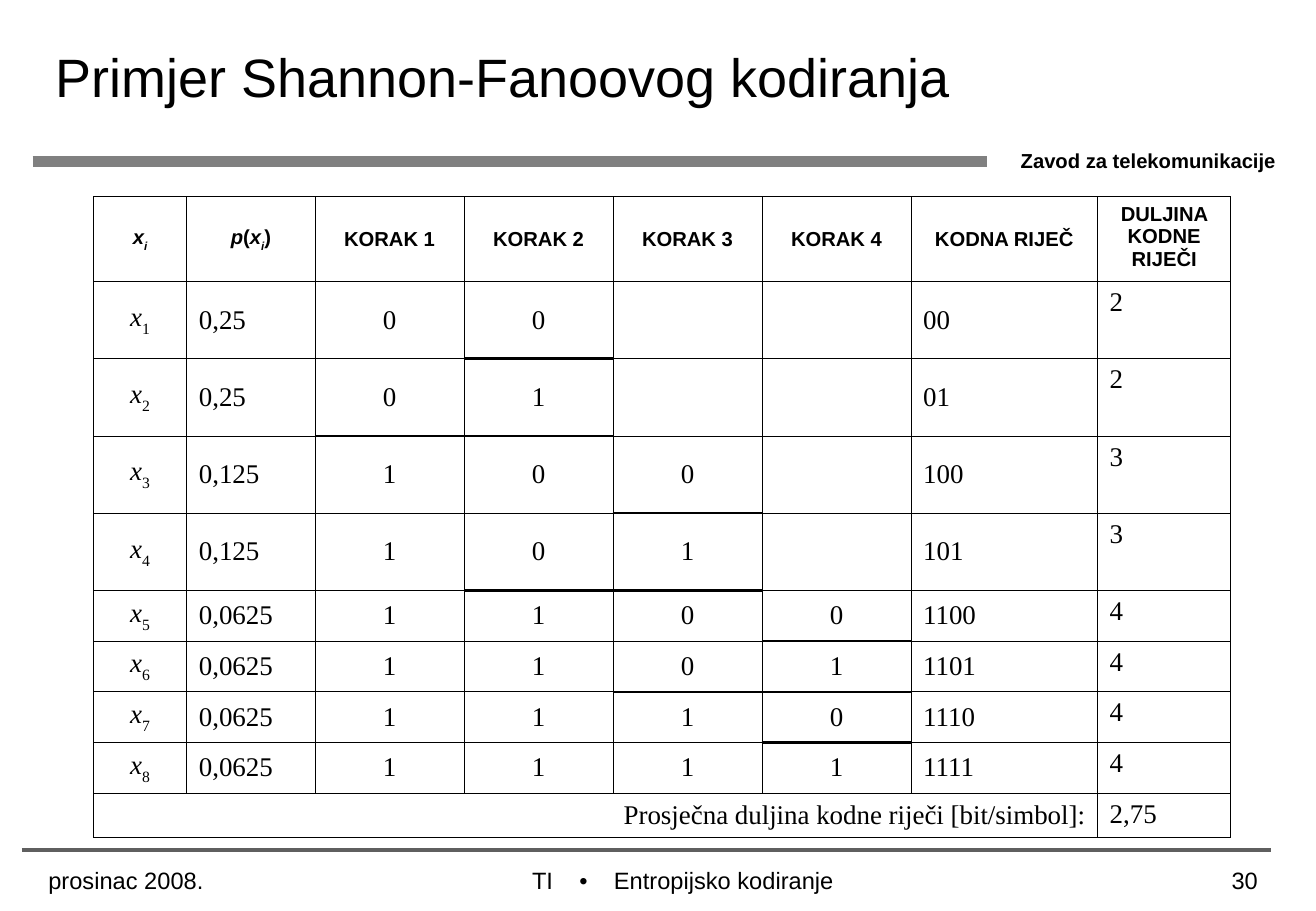
from dataclasses import dataclass
from typing import NamedTuple

from lxml import etree
from pptx import Presentation, util as u
from pptx.dml.color import RGBColor
from pptx.enum import shapes, text
from pptx.oxml import ns

# The slide is a fine grid of 1084 columns by 750 rows
COLUMNS, ROWS = 1084, 750
UNIT = u.Inches(0.01)


@dataclass(frozen=True)
class Theme:
    sans: str = "Arial"
    serif: str = "Times New Roman"
    ink: str = "000000"
    header_rule: str = "808080"
    footer_rule: str = "5F5F5F"
    title_size: int = 32
    label_size: int = 12
    body_size: int = 16
    footer_size: int = 14
    thin: float = 0.45
    thick: float = 1.47


class Area(NamedTuple):
    left: int
    top: int
    width: int
    height: int


class Run(NamedTuple):
    text: str
    italic: bool = False
    subscript: bool = False
    tracking: int = 0


class Rule(NamedTuple):
    start: int
    end: int
    row: int
    color: str
    width: float


class Label(NamedTuple):
    area: Area
    runs: list[Run]
    size: int
    align: text.PP_ALIGN
    bold: bool = False


THEME = Theme()
LEFT, CENTER, RIGHT = text.PP_ALIGN.LEFT, text.PP_ALIGN.CENTER, text.PP_ALIGN.RIGHT
TOP, MIDDLE = text.MSO_ANCHOR.TOP, text.MSO_ANCHOR.MIDDLE

TITLE_AREA = Area(36, 0, 921, 125)
TABLE_AREA = Area(77, 162, 937, 528)
COLUMN_SHARES = [77, 106, 123, 123, 123, 123, 154, 110]
ROW_SHARES = [70] + [64] * 4 + [42] * 4 + [37]
STEPS = 4
FIRST_STEP = 2
CODES = ["00", "01", "100", "101", "1100", "1101", "1110", "1111"]

RULES = [
    Rule(27, 813, 133, THEME.header_rule, 6),
    Rule(18, 1047, 700, THEME.footer_rule, 2.25),
]
WIDE_GAP = Run(" ", tracking=1170)
LABELS = [
    Label(Area(831, 117, 253, 30), [Run("Zavod za telekomunikacije")],
          THEME.label_size, LEFT, bold=True),
    Label(Area(250, 708, 625, 25),
          [Run("TI"), WIDE_GAP, Run("•"), WIDE_GAP, Run("Entropijsko kodiranje")],
          THEME.footer_size, CENTER),
    Label(Area(909, 708, 137, 42), [Run("30")], THEME.footer_size, RIGHT),
    Label(Area(30, 708, 195, 42), [Run("prosinac 2008.")], THEME.footer_size, LEFT),
]


def place(area: Area) -> list[int]:
    return [length * UNIT for length in area]


def write(frame, runs: list[Run], *, size: int, font: str = THEME.sans,
          align: text.PP_ALIGN = LEFT, bold: bool = False) -> None:
    paragraph = frame.paragraphs[0]
    paragraph.alignment = align
    for piece in runs:
        run = paragraph.add_run()
        run.text = piece.text
        run.font.name = font
        run.font.size = u.Pt(size)
        run.font.bold = bold
        run.font.italic = piece.italic
        run.font.color.rgb = RGBColor.from_string(THEME.ink)
        properties = run.font._element
        if piece.subscript:
            properties.set("baseline", "-30000")
        if piece.tracking:
            properties.set("spc", str(piece.tracking))


def add_rule(slide, rule: Rule) -> None:
    line = slide.shapes.add_connector(
        shapes.MSO_CONNECTOR.STRAIGHT, rule.start * UNIT, rule.row * UNIT,
        rule.end * UNIT, rule.row * UNIT)
    line.line.color.rgb = RGBColor.from_string(rule.color)
    line.line.width = u.Pt(rule.width)
    etree.SubElement(line._element.spPr, ns.qn("a:effectLst"))


def add_label(slide, label: Label) -> None:
    frame = slide.shapes.add_textbox(*place(label.area)).text_frame
    frame.word_wrap = True
    write(frame, label.runs, size=label.size, align=label.align, bold=label.bold)


def set_borders(cell, top: float, bottom: float) -> None:
    properties = cell._tc.get_or_add_tcPr()
    sides = {"lnL": THEME.thin, "lnR": THEME.thin, "lnT": top, "lnB": bottom}
    for side, width in sides.items():
        line = etree.SubElement(properties, ns.qn(f"a:{side}"), w=str(u.Pt(width)))
        fill = etree.SubElement(line, ns.qn("a:solidFill"))
        etree.SubElement(fill, ns.qn("a:srgbClr"), val=THEME.ink)


def table_rows() -> list[list[list[Run]]]:
    """Header, one row per code word, and the average length."""
    index = Run("i", italic=True, subscript=True)
    variable = Run("x", italic=True)
    header = [[variable, index], [Run("p", italic=True), Run("("), variable, index, Run(")")]]
    header += [[Run(f"KORAK {step}")] for step in range(1, STEPS + 1)]
    header += [[Run("KODNA RIJEČ")], [Run("DULJINA KODNE RIJEČI")]]
    rows = [header]
    average = 0.0
    for number, code in enumerate(CODES, 1):
        probability = 2 ** -len(code)
        average += probability * len(code)
        digits = [[Run(digit)] if digit.strip() else [] for digit in code.ljust(STEPS)]
        rows.append([[variable, Run(str(number), subscript=True)],
                     [Run(f"{probability}".replace(".", ","))], *digits,
                     [Run(code)], [Run(str(len(code)))]])
    caption = [Run("Prosječna duljina kodne riječi [bit/simbol]:")]
    rows.append([caption, *[[] for _ in range(STEPS + 2)],
                 [Run(f"{average:.2f}".replace(".", ","))]])
    return rows


def split_lines() -> set[tuple[int, int]]:
    """Cells with a thick lower edge: from the first differing digit to the code's end."""
    lines = set()
    for row, (code, following) in enumerate(zip(CODES, CODES[1:]), 1):
        first = next(i for i, pair in enumerate(zip(code, following)) if pair[0] != pair[1])
        lines |= {(row, FIRST_STEP + step) for step in range(first, len(code))}
    return lines


def add_code_table(slide) -> None:
    rows, thick = table_rows(), split_lines()
    last_row, last_column = len(rows) - 1, len(COLUMN_SHARES) - 1
    table = slide.shapes.add_table(len(rows), last_column + 1, *place(TABLE_AREA)).table
    table.first_row = table.horz_banding = False
    for column, share in zip(table.columns, COLUMN_SHARES):
        column.width = round(TABLE_AREA.width * UNIT * share / sum(COLUMN_SHARES))
    for row, share in zip(table.rows, ROW_SHARES):
        row.height = round(TABLE_AREA.height * UNIT * share / sum(ROW_SHARES))
    table.cell(last_row, 0).merge(table.cell(last_row, last_column - 1))

    for r, contents in enumerate(rows):
        for c, runs in enumerate(contents):
            cell = table.cell(r, c)
            set_borders(cell, *(THEME.thick if edge in thick else THEME.thin
                                for edge in ((r - 1, c), (r, c))))
            cell.fill.background()
            cell.margin_left = cell.margin_right = 10 * UNIT
            cell.margin_top = cell.margin_bottom = 5 * UNIT
            cell.vertical_anchor = TOP if c == last_column else MIDDLE
            if r == 0:
                write(cell.text_frame, runs, size=THEME.label_size, align=CENTER, bold=True)
                continue
            centered = c == 0 or FIRST_STEP <= c < FIRST_STEP + STEPS
            align = RIGHT if r == last_row and c == 0 else CENTER if centered else LEFT
            write(cell.text_frame, runs, size=THEME.body_size, font=THEME.serif, align=align)


def main() -> None:
    presentation = Presentation()
    presentation.slide_width, presentation.slide_height = COLUMNS * UNIT, ROWS * UNIT
    slide = presentation.slides.add_slide(presentation.slide_layouts[5])

    # Title
    title = slide.shapes.title
    title.left, title.top, title.width, title.height = place(TITLE_AREA)
    title.text_frame.auto_size = text.MSO_AUTO_SIZE.NONE
    title.text_frame.vertical_anchor = MIDDLE
    write(title.text_frame, [Run("Primjer Shannon-Fanoovog kodiranja")], size=THEME.title_size)

    # Rules, code table, department and footer
    for rule in RULES:
        add_rule(slide, rule)
    add_code_table(slide)
    for label in LABELS:
        add_label(slide, label)
    presentation.save("out.pptx")


if __name__ == "__main__":
    main()
